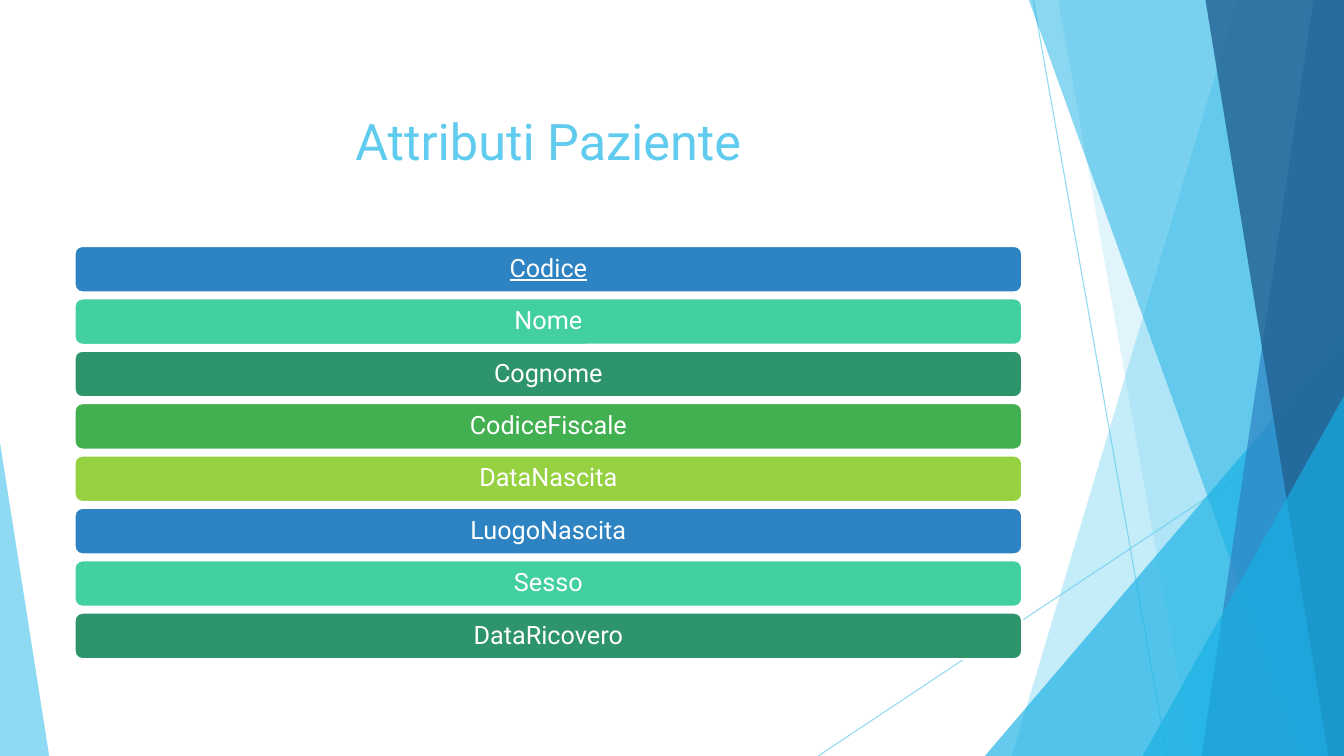
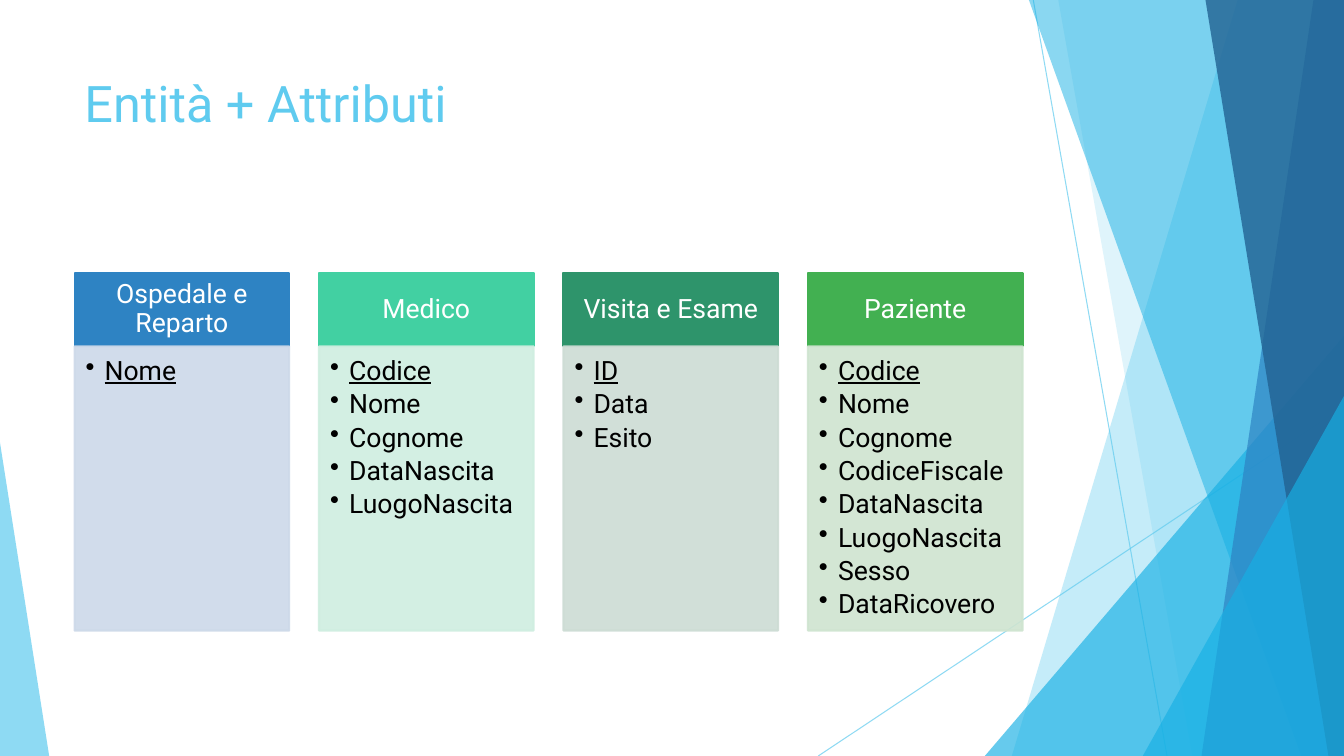
import dataclasses

import lxml.etree
import pptx
import pptx.dml.color
import pptx.enum.shapes
import pptx.enum.text
import pptx.oxml.ns
import pptx.util

Cm = pptx.util.Cm
Pt = pptx.util.Pt
SHAPE = pptx.enum.shapes.MSO_SHAPE
ALIGN = pptx.enum.text.PP_ALIGN
ANCHOR = pptx.enum.text.MSO_ANCHOR
qn = pptx.oxml.ns.qn


@dataclasses.dataclass(frozen=True)
class Theme:
    font: str = "Roboto"
    white: str = "FFFFFF"
    black: str = "000000"
    sky: str = "5FCBEF"
    cyan: str = "17B0E4"
    navy: str = "226292"
    blue: str = "2E83C3"
    mint: str = "42D0A2"
    forest: str = "2E946B"
    green: str = "42B051"
    lime: str = "96D141"
    pale_blue: str = "CDD9E9"
    pale_mint: str = "CFEEE0"
    pale_forest: str = "CDDCD4"
    pale_green: str = "CFE4D0"
    title_size: int = 36
    bar_size: int = 18
    column_size: int = 19
    outline: float = 1.5
    hairline: float = 0.75


THEME = Theme()

# Page geometry, in centimetres
WIDTH, HEIGHT = 33.87, 19.05
LEFT, CONTENT_WIDTH = 1.88, 23.88

# Decoration: lines (from, to), bands (top x, bottom x, colour, opacity)
# and triangles (left, top, width, apex, colour, opacity)
LINES = [((26.04, 0), (29.41, HEIGHT)), ((WIDTH, 10.24), (20.62, HEIGHT))]
PALE_BANDS = [(31.19, 25.5, THEME.sky, 36), (26.67, 30.05, THEME.sky, 20)]
DEEP_BANDS = [
    (25.93, 32.79, THEME.cyan, 50),
    (33.1, 30.28, THEME.blue, 70),
    (30.38, 33.48, THEME.navy, 80),
]
LARGE_TRIANGLE = (24.82, 8.46, 9.05, 1, THEME.cyan, 66)
SMALL_TRIANGLE = (28.8, 9.98, 5.07, 1, THEME.cyan, 66)
LEFT_TRIANGLE = (0, 11.15, 1.24, 0, THEME.sky, 70)

# Content
PATIENT = ["Codice", "Nome", "Cognome", "CodiceFiscale", "DataNascita",
           "LuogoNascita", "Sesso", "DataRicovero"]
BAR_COLORS = [THEME.blue, THEME.mint, THEME.forest, THEME.green, THEME.lime]
ENTITIES = [
    ("Ospedale e Reparto", THEME.blue, THEME.pale_blue, ["Nome"]),
    ("Medico", THEME.mint, THEME.pale_mint,
     ["Codice", "Nome", "Cognome", "DataNascita", "LuogoNascita"]),
    ("Visita e Esame", THEME.forest, THEME.pale_forest,
     ["ID", "Data", "Esito"]),
    ("Paziente", THEME.green, THEME.pale_green, PATIENT),
]


def set_values(target, values):
    for name, value in values.items():
        setattr(target, name, value)


def rgb(color):
    return pptx.dml.color.RGBColor.from_string(color)


def set_opacity(shape, percent):
    for color in shape._element.spPr.iter(qn("a:srgbClr")):
        lxml.etree.SubElement(color, qn("a:alpha"), val=str(percent * 1000))


class Deck:
    def __init__(self, theme):
        self.theme = theme
        self.presentation = pptx.Presentation()
        set_values(self.presentation, {"slide_width": Cm(WIDTH),
                                       "slide_height": Cm(HEIGHT)})
        self.slide = None

    def new_slide(self):
        layout = self.presentation.slide_layouts[6]
        self.slide = self.presentation.slides.add_slide(layout)
        self.decoration()

    # Shared decoration
    def decoration(self):
        for start, end in LINES:
            self.line(start, end)
        for band in PALE_BANDS:
            self.band(*band)
        self.triangle(*LARGE_TRIANGLE)
        for band in DEEP_BANDS:
            self.band(*band)
        self.triangle(*SMALL_TRIANGLE)
        self.triangle(*LEFT_TRIANGLE)

    def line(self, start, end):
        connector = self.slide.shapes.add_connector(
            pptx.enum.shapes.MSO_CONNECTOR.STRAIGHT,
            *(Cm(value) for value in start + end))
        connector.line.width = Pt(self.theme.hairline)
        connector.line.color.rgb = rgb(self.theme.sky)
        set_opacity(connector, 70)
        lxml.etree.SubElement(connector._element.spPr, qn("a:effectLst"))

    def band(self, top_x, bottom_x, color, opacity):
        builder = self.slide.shapes.build_freeform(Cm(top_x), 0)
        corners = [(WIDTH, 0), (WIDTH, HEIGHT), (bottom_x, HEIGHT)]
        builder.add_line_segments([(Cm(x), Cm(y)) for x, y in corners])
        self.paint(builder.convert_to_shape(), color, opacity=opacity)

    def triangle(self, left, top, width, apex, color, opacity):
        shape = self.shape(SHAPE.ISOSCELES_TRIANGLE,
                           (left, top, width, HEIGHT - top), color,
                           opacity=opacity)
        shape.adjustments[0] = apex

    # Basic elements
    def paint(self, shape, fill, outline=None, opacity=100):
        shape.shadow.inherit = False
        shape.fill.solid()
        shape.fill.fore_color.rgb = rgb(fill)
        if outline:
            shape.line.width = Pt(self.theme.outline)
            shape.line.color.rgb = rgb(outline)
        else:
            shape.line.fill.background()
        if opacity < 100:
            set_opacity(shape, opacity)

    def shape(self, kind, box, fill, outline=None, opacity=100):
        shape = self.slide.shapes.add_shape(kind, *(Cm(v) for v in box))
        self.paint(shape, fill, outline, opacity)
        return shape

    def frame(self, shape, anchor, margins):
        names = ("margin_left", "margin_top", "margin_right", "margin_bottom")
        frame = shape.text_frame
        set_values(frame, {"word_wrap": True, "vertical_anchor": anchor})
        set_values(frame, dict(zip(names, (Cm(m) for m in margins))))
        return frame

    def add_text(self, paragraph, text, size, color, underline=False,
                 **layout):
        set_values(paragraph, layout)
        run = paragraph.add_run()
        run.text = text
        set_values(run.font, {"name": self.theme.font, "size": Pt(size),
                              "underline": underline})
        run.font.color.rgb = rgb(color)

    # Slide elements
    def title(self, text, alignment, anchor):
        box = self.slide.shapes.add_textbox(
            Cm(LEFT), Cm(1.7), Cm(CONTENT_WIDTH), Cm(3.66))
        frame = self.frame(box, anchor, (0.25, 0.13, 0.25, 0.13))
        self.add_text(frame.paragraphs[0], text, self.theme.title_size,
                      self.theme.sky, alignment=alignment)

    def label(self, shape, text, size, margins, underline=False):
        frame = self.frame(shape, ANCHOR.MIDDLE, margins)
        self.add_text(frame.paragraphs[0], text, size, self.theme.white,
                      underline, alignment=ALIGN.CENTER, line_spacing=0.9)

    def bars(self, names, top=6.2, height=1.17, gap=0.15):
        for index, name in enumerate(names):
            box = (LEFT, top + index * (height + gap), CONTENT_WIDTH, height)
            bar = self.shape(SHAPE.ROUNDED_RECTANGLE, box,
                             BAR_COLORS[index % len(BAR_COLORS)],
                             self.theme.white)
            self.label(bar, name, self.theme.bar_size, (0.18,) * 4,
                       underline=index == 0)

    def bullets(self, shape, items):
        frame = self.frame(shape, ANCHOR.TOP, (0.28, 0.28, 0.38, 0.43))
        for index, item in enumerate(items):
            paragraph = (frame.add_paragraph() if index
                         else frame.paragraphs[0])
            properties = paragraph._p.get_or_add_pPr()
            properties.set("marL", str(Cm(0.48)))
            properties.set("indent", str(-Cm(0.48)))
            lxml.etree.SubElement(properties, qn("a:buChar"), char="•")
            self.add_text(paragraph, item, self.theme.column_size,
                          self.theme.black, underline=index == 0,
                          alignment=ALIGN.LEFT, line_spacing=0.9,
                          space_after=Pt(3.3))

    def columns(self, entities, top=6.88, width=5.41, gap=0.75):
        header_height, body_height = 1.85, 7.16
        for index, (name, color, pale, items) in enumerate(entities):
            left = LEFT + index * (width + gap)
            header = self.shape(SHAPE.RECTANGLE,
                                (left, top, width, header_height),
                                color, color)
            self.label(header, name, self.theme.column_size,
                       (0.38, 0.2, 0.38, 0.2))
            body = self.shape(SHAPE.RECTANGLE,
                              (left, top + header_height, width, body_height),
                              pale, pale, opacity=90)
            self.bullets(body, items)


def main():
    deck = Deck(THEME)

    # Patient attributes
    deck.new_slide()
    deck.title("Attributi Paziente", ALIGN.CENTER, ANCHOR.MIDDLE)
    deck.bars(PATIENT)

    # Entities with their attributes
    deck.new_slide()
    deck.title("Entità + Attributi", ALIGN.LEFT, ANCHOR.TOP)
    deck.columns(ENTITIES)

    deck.presentation.save("out.pptx")


if __name__ == "__main__":
    main()
